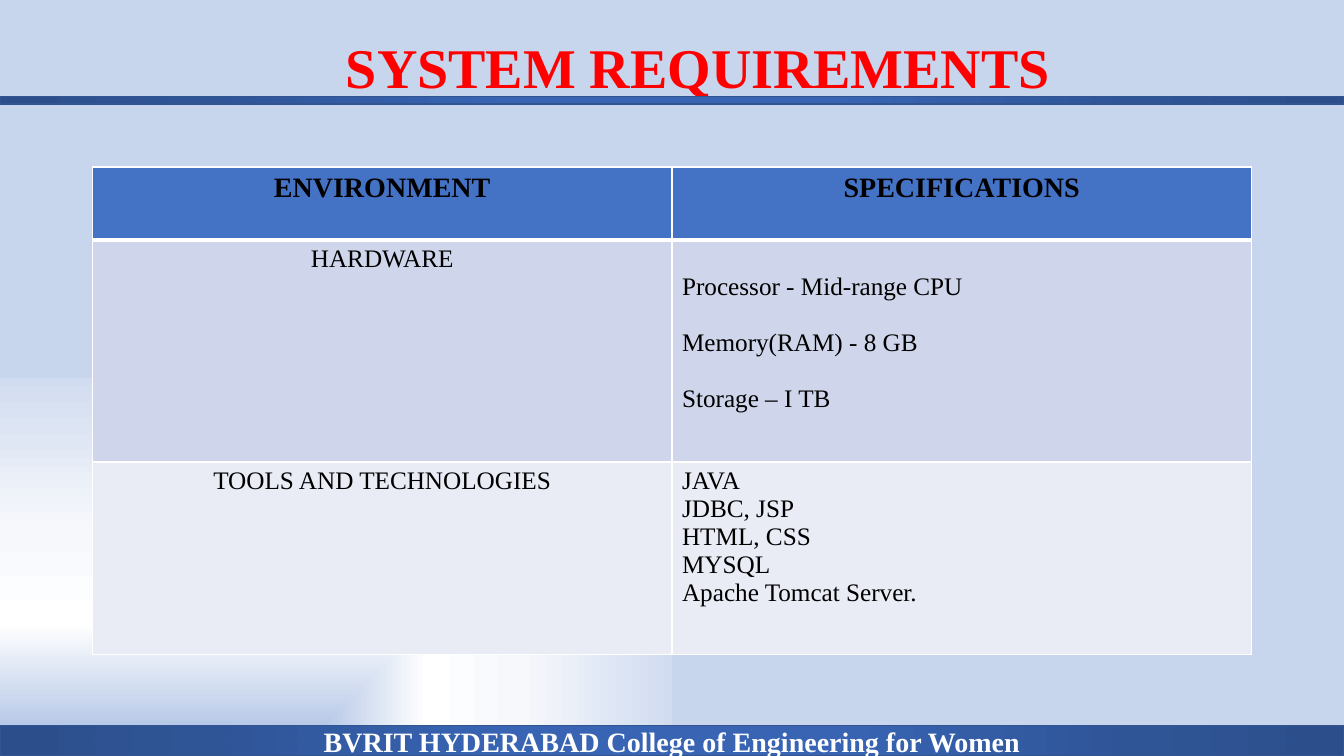
from dataclasses import dataclass

import pptx
import pptx.dml.color
import pptx.enum.shapes
import pptx.enum.text
import pptx.oxml
import pptx.oxml.ns
import pptx.util
from pptx.util import Cm, Pt

FONT = "Times New Roman"
WHITE, BLACK, RED = "FFFFFF", "000000", "FF0000"
SLIDE_WIDTH, SLIDE_HEIGHT = 33.87, 19.05
CENTER = pptx.enum.text.PP_ALIGN.CENTER
LEFT = pptx.enum.text.PP_ALIGN.LEFT

BACKDROP_STOPS = [(6, "BECEEA"), (7, "B5C7E7"), (35, "FFFFFF"), (60, "F6F8FC"),
                  (100, "D1DCF0"), (100, "ABC0E4"), (100, "C7D5ED")]
BAND_STOPS = [(0, "3864B3"), (23, "3864B3"), (69, "2F5597"), (97, "2C4F8C")]


@dataclass
class Band:
    top: float
    height: float
    caption: str = ""


@dataclass
class Requirement:
    environment: str
    specifications: list[str]
    height: float
    fill: str
    size: int = 18
    bold: bool = False
    align: pptx.enum.text.PP_ALIGN = LEFT
    spacing: float = 1.0
    top_border: int = 1
    bottom_border: int = 1


BANDS = [Band(18.29, 0.76, "BVRIT HYDERABAD College of Engineering for Women"),
         Band(2.44, 0.18)]
REQUIREMENTS = [
    Requirement("ENVIRONMENT", ["SPECIFICATIONS"], 1.84, "4472C4",
                size=20, bold=True, align=CENTER, bottom_border=3),
    Requirement("HARDWARE",
                ["Processor - Mid-range CPU", "Memory(RAM) - 8 GB", "Storage – I TB"],
                5.59, "CFD5EA", spacing=2.0, top_border=3),
    Requirement("TOOLS AND TECHNOLOGIES",
                ["JAVA", "JDBC, JSP", "HTML, CSS", "MYSQL", "Apache Tomcat Server."],
                4.85, "E9EBF5"),
]


def rgb(color: str) -> pptx.dml.color.RGBColor:
    return pptx.dml.color.RGBColor.from_string(color)


def write(frame, lines: list[str], size: int, color: str, bold: bool,
          align=CENTER, spacing: float = 1.0) -> None:
    frame.text = "\n".join(lines)
    for paragraph in frame.paragraphs:
        paragraph.alignment = align
        paragraph.line_spacing = spacing
        for run in paragraph.runs:
            run.font.name = FONT
            run.font.size = Pt(size)
            run.font.bold = bold
            run.font.color.rgb = rgb(color)


def set_gradient(properties, stops: list[tuple[int, str]], shape: str,
                 focus: tuple[int, int, int, int]) -> None:
    """Replace the solid fill in properties by a path gradient."""
    stop_xml = "".join(f'<a:gs pos="{position * 1000}"><a:srgbClr val="{color}"/></a:gs>'
                       for position, color in stops)
    left, top, right, bottom = (percent * 1000 for percent in focus)
    gradient = pptx.oxml.parse_xml(
        f'<a:gradFill {pptx.oxml.ns.nsdecls("a")} rotWithShape="1">'
        f'<a:gsLst>{stop_xml}</a:gsLst><a:path path="{shape}">'
        f'<a:fillToRect l="{left}" t="{top}" r="{right}" b="{bottom}"/>'
        f'</a:path></a:gradFill>')
    solid = properties.find(pptx.oxml.ns.qn("a:solidFill"))
    properties.replace(solid, gradient)


def add_band(slide, band: Band) -> None:
    bar = slide.shapes.add_shape(pptx.enum.shapes.MSO_SHAPE.RECTANGLE, 0, Cm(band.top),
                                 Cm(SLIDE_WIDTH), Cm(band.height))
    bar.shadow.inherit = False
    bar.fill.solid()
    set_gradient(bar.element.spPr, BAND_STOPS, "circle", (50, 50, 50, 50))
    bar.line.color.rgb = rgb("325491")
    bar.line.width = Pt(1)
    if band.caption:
        bar.text_frame.vertical_anchor = pptx.enum.text.MSO_ANCHOR.MIDDLE
        write(bar.text_frame, [band.caption], 20, WHITE, True)


def set_borders(cell, top: int, bottom: int) -> None:
    sides = {"lnL": 1, "lnR": 1, "lnT": top, "lnB": bottom}
    for index, (side, points) in enumerate(sides.items()):
        border = pptx.oxml.parse_xml(
            f'<a:{side} {pptx.oxml.ns.nsdecls("a")} w="{Pt(points)}">'
            f'<a:solidFill><a:srgbClr val="{WHITE}"/></a:solidFill></a:{side}>')
        cell._tc.get_or_add_tcPr().insert(index, border)


def add_requirements(slide) -> None:
    total = sum(requirement.height for requirement in REQUIREMENTS)
    table = slide.shapes.add_table(len(REQUIREMENTS), 2, Cm(2.33), Cm(4.21),
                                   Cm(29.21), Cm(total)).table
    for row, requirement in enumerate(REQUIREMENTS):
        table.rows[row].height = Cm(requirement.height)
        columns = [([requirement.environment], CENTER, 1.0),
                   (requirement.specifications, requirement.align, requirement.spacing)]
        for column, (lines, align, spacing) in enumerate(columns):
            cell = table.cell(row, column)
            cell.fill.solid()
            cell.fill.fore_color.rgb = rgb(requirement.fill)
            set_borders(cell, requirement.top_border, requirement.bottom_border)
            write(cell.text_frame, lines, requirement.size, BLACK,
                  requirement.bold, align, spacing)


def add_title(slide) -> None:
    title = slide.shapes.title
    title.left, title.top, title.width, title.height = Cm(7.74), Cm(0.69), Cm(19.7), Cm(2)
    title.text_frame.vertical_anchor = pptx.enum.text.MSO_ANCHOR.TOP
    write(title.text_frame, ["SYSTEM REQUIREMENTS"], 40, RED, True)


def main() -> None:
    deck = pptx.Presentation()
    deck.slide_width, deck.slide_height = Cm(SLIDE_WIDTH), Cm(SLIDE_HEIGHT)
    slide = deck.slides.add_slide(deck.slide_layouts[5])
    slide.background.fill.solid()
    backdrop = slide.element.find(".//" + pptx.oxml.ns.qn("p:bgPr"))
    set_gradient(backdrop, BACKDROP_STOPS, "rect", (0, 100, 100, 0))
    for band in BANDS:
        add_band(slide, band)
    add_title(slide)
    add_requirements(slide)
    deck.save("out.pptx")


if __name__ == "__main__":
    main()
